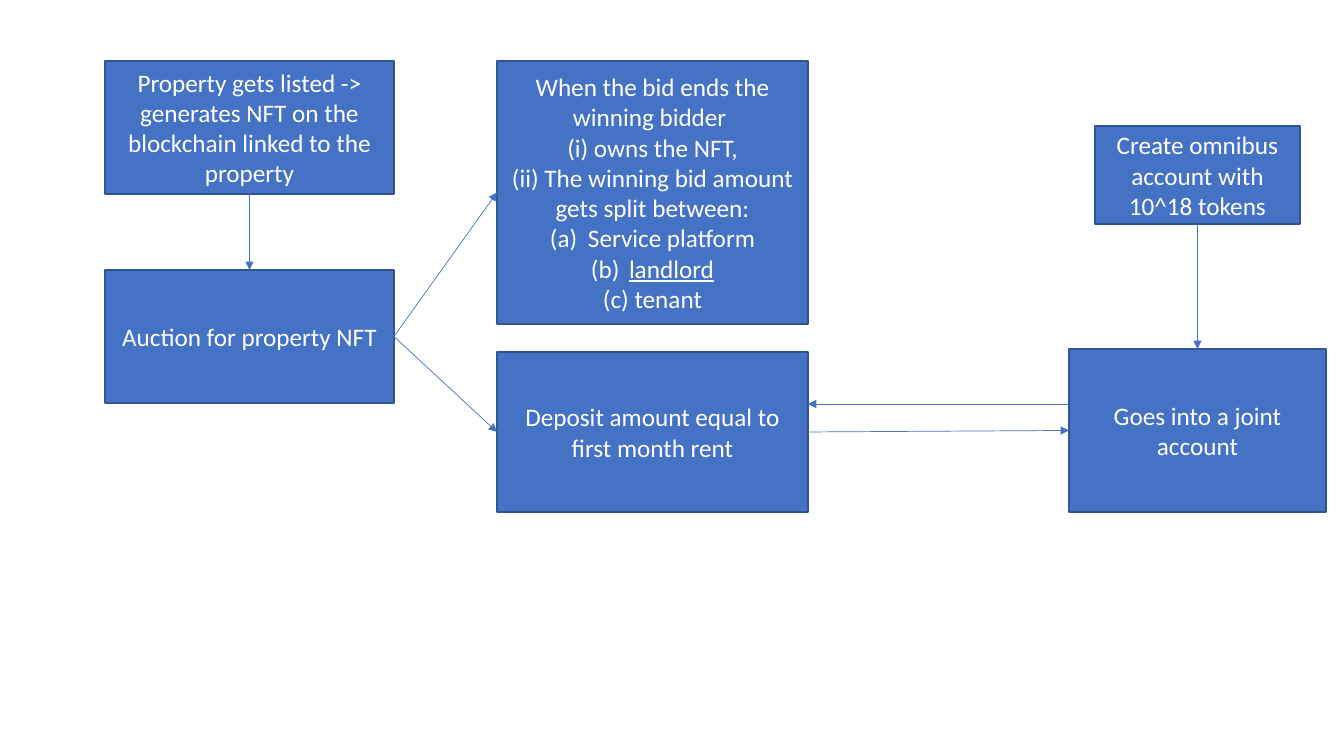
from pptx import Presentation
from pptx.dml.color import RGBColor
from pptx.enum.shapes import MSO_CONNECTOR, MSO_SHAPE
from pptx.enum.text import MSO_ANCHOR, PP_ALIGN
from pptx.oxml.ns import qn
from pptx.util import Emu, Pt
from lxml.etree import SubElement

BLUE, EDGE, WHITE = "4472C4", "325491", "FFFFFF"
TOP, LEFT, BOTTOM, RIGHT = range(4)


def px(n):
    """Turn pixels into EMU."""
    return Emu(round(n * 914400 / 100.8))


def color(value):
    """Turn a hex string into a colour."""
    return RGBColor.from_string(value)


def write(p, text, size=18, font="Calibri", fill=WHITE, underline=None, number=None):
    """Write a centred paragraph, numbered if a scheme is given."""
    p.text = text
    p.alignment = PP_ALIGN.CENTER
    for r in p.runs:
        r.font.size = Pt(size)
        r.font.name = font
        r.font.color.rgb = color(fill)
        r.font.underline = underline
    if number:
        pPr = p._p.get_or_add_pPr()
        pPr.set("marL", str(px(38)))
        pPr.set("indent", str(-px(38)))
        SubElement(pPr, qn("a:buFont")).set("typeface", "+mj-lt")
        SubElement(pPr, qn("a:buAutoNum")).set("type", number)


def add_step(s, x, y, w, h, *lines):
    """Add a step box holding (text, format) paragraphs."""
    sp = s.shapes.add_shape(MSO_SHAPE.RECTANGLE, px(x), px(y), px(w), px(h))
    sp.shadow.inherit = False
    sp.fill.solid()
    sp.fill.fore_color.rgb = color(BLUE)
    sp.line.color.rgb = color(EDGE)
    sp.line.width = Pt(1)
    tf = sp.text_frame
    tf.word_wrap = True
    tf.vertical_anchor = MSO_ANCHOR.MIDDLE
    for i, (text, style) in enumerate(lines):
        write(tf.add_paragraph() if i else tf.paragraphs[0], text, **style)
    return sp


def add_arrow(s, x1=0, y1=0, x2=0, y2=0, start=None, end=None):
    """Add an arrow between points in EMU or (shape, site) pairs."""
    cxn = s.shapes.add_connector(MSO_CONNECTOR.STRAIGHT, x1, y1, x2, y2)
    if start:
        cxn.begin_connect(*start)
    if end:
        cxn.end_connect(*end)
    cxn.line.color.rgb = color(BLUE)
    cxn.line.width = Pt(0.5)
    SubElement(cxn.line._get_or_add_ln(), qn("a:tailEnd")).set("type", "triangle")
    SubElement(cxn._element.spPr, qn("a:effectLst"))


def add_auction(s, x, y, w, h):
    """Add the listing step above the auction step and return the auction."""
    step_h = 133
    listing = add_step(s, x, y, w, step_h, (
        "Property gets listed -> generates NFT on the blockchain linked to the property", {}))
    auction = add_step(s, x, y + h - step_h, w, step_h, ("Auction for property NFT", {}))
    add_arrow(s, start=(listing, BOTTOM), end=(auction, TOP))
    return auction


def add_outcomes(s, x, y, w, h):
    """Add the winning bid step above the deposit step and return both."""
    bid_h, deposit_h = 263, 160
    bid = add_step(
        s, x, y, w, bid_h,
        ("When the bid ends the winning bidder \v(i) owns the NFT,", {}),
        ("(ii) The winning bid amount gets split between:", {}),
        ("Service platform", {"number": "alphaLcParenBoth"}),
        ("landlord", {"number": "alphaLcParenBoth", "underline": True}),
        ("(c) tenant", {}))
    deposit = add_step(s, x, y + h - deposit_h, w, deposit_h,
                       ("Deposit amount equal to first month rent", {}))
    return bid, deposit


def add_accounts(s, x, y, w, h):
    """Add the omnibus step above the joint account and return the latter."""
    omnibus_w, omnibus_h, joint_h = 205, 98, 163
    omnibus = add_step(s, x + (w - omnibus_w) / 2, y, omnibus_w, omnibus_h,
                       ("Create omnibus account with 10^18 tokens", {}))
    joint = add_step(s, x, y + h - joint_h, w, joint_h, ("Goes into a joint account", {}))
    add_arrow(s, start=(omnibus, BOTTOM), end=(joint, TOP))
    return joint


def add_flow(s, x, y, w, h):
    """Add the three columns of the flow and the arrows between them."""
    auction = add_auction(s, x, y, 289, 342)
    bid, deposit = add_outcomes(s, x + 392, y, 311, h)
    joint = add_accounts(s, x + w - 257, y + 65, 257, h - 65)
    for outcome in (bid, deposit):
        add_arrow(s, start=(auction, RIGHT), end=(outcome, LEFT))
    add_arrow(s, start=(deposit, RIGHT), end=(joint, LEFT))
    back_y = px(y + 343)
    add_arrow(s, joint.left, back_y, deposit.left + deposit.width, back_y)


prs = Presentation()
prs.slide_width, prs.slide_height = px(1344), px(756)
add_flow(prs.slides.add_slide(prs.slide_layouts[6]), 105, 61, 1221, 451)
prs.save("out.pptx")
